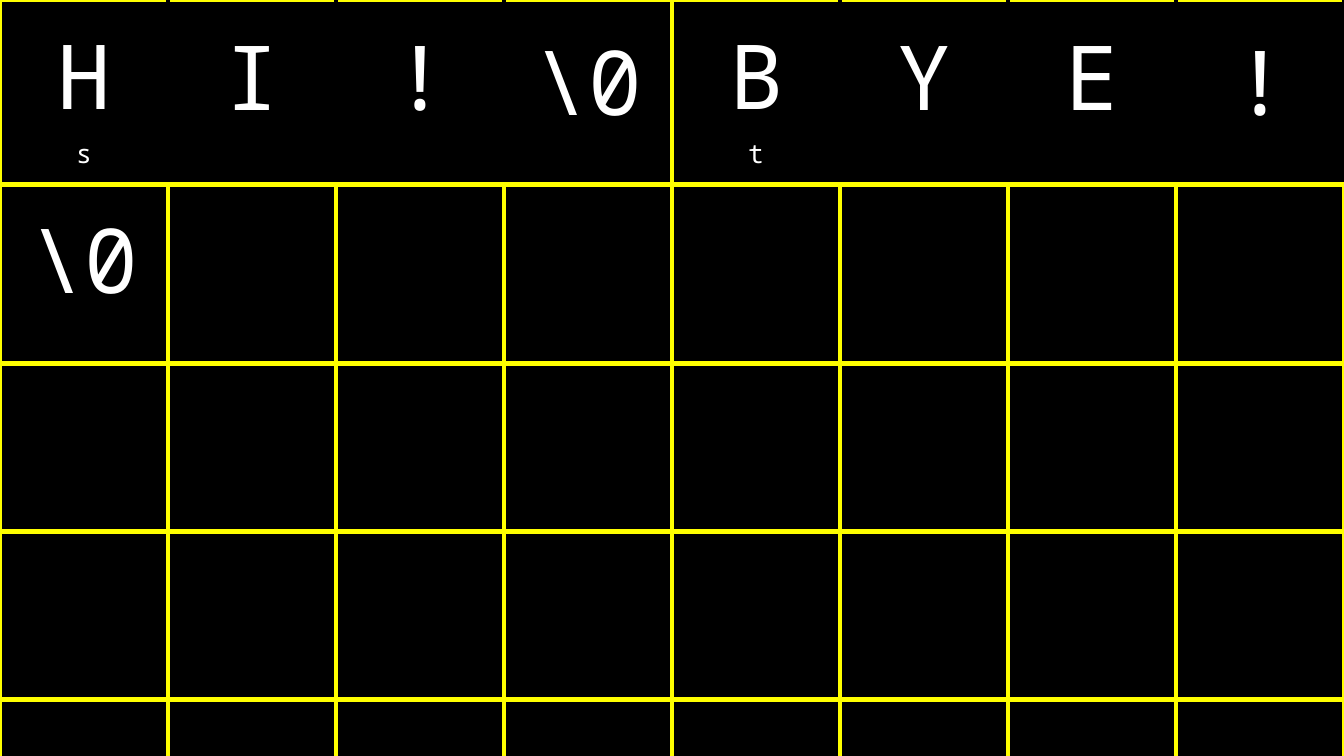
from pptx import Presentation
from pptx.dml.color import RGBColor
from pptx.enum.text import MSO_ANCHOR, PP_ALIGN
from pptx.oxml.ns import qn
from pptx.util import Inches, Pt
from lxml import etree

BOTTOM = MSO_ANCHOR.BOTTOM
CENTER = PP_ALIGN.CENTER
FONT = "Noto Sans Mono"
BLACK, WHITE, YELLOW = "000000", "FFFFFF", "FFFF00"
COLS, ROWS, SIDE = 8, 5, 1.25
PAD = 0.1

# Bytes in memory: value, label, space below the text
BYTES = [
    ("H", "s", PAD), ("I", "", 0.36), ("!", "", 0.36), ("\\0", "", 0.32),
    ("B", "t", PAD), ("Y", "", 0.36), ("E", "", 0.36), ("!", "", 0.32),
    ("\\0", "", 0.32),
]
# Columns in the first row with a yellow left or right edge
STARTS, ENDS = (0, 4), (3,)


def color(value):
    return RGBColor.from_string(value)


def add_edge(cell, side, value):
    props = cell._tc.get_or_add_tcPr()
    line = etree.SubElement(props, qn("a:ln" + side), w=str(Pt(3)))
    fill = etree.SubElement(line, qn("a:solidFill"))
    etree.SubElement(fill, qn("a:srgbClr"), val=value)


def style_cell(cell, row, col):
    left = YELLOW if row or col in STARTS else BLACK
    right = YELLOW if row or col in ENDS else BLACK
    for side, value in zip("LRTB", (left, right, YELLOW, YELLOW)):
        add_edge(cell, side, value)
    cell.fill.background()
    cell.margin_left = cell.margin_right = Inches(PAD)
    cell.margin_top = cell.margin_bottom = Inches(PAD)
    cell.vertical_anchor = BOTTOM


def set_byte(cell, value, label, below):
    cell.margin_bottom = Inches(below)
    frame = cell.text_frame
    frame.text = f"{value}\n{label}" if label else value
    for para, size in zip(frame.paragraphs, (48, 14)):
        para.alignment = CENTER
        for run in para.runs:
            run.font.name = FONT
            run.font.size = Pt(size)
            run.font.color.rgb = color(WHITE)


def add_grid(slide):
    shape = slide.shapes.add_table(
        ROWS, COLS, 0, 0, Inches(COLS * SIDE), Inches(ROWS * SIDE))
    grid = shape.table
    grid.first_row = grid.horz_banding = False
    for row in range(ROWS):
        for col in range(COLS):
            style_cell(grid.cell(row, col), row, col)
    return grid


def main():
    # Widescreen page, 16 to 9
    deck = Presentation()
    deck.slide_width = Inches(10)
    deck.slide_height = Inches(10) * 9 // 16
    slide = deck.slides.add_slide(deck.slide_layouts[6])
    back = slide.background.fill
    back.solid()
    back.fore_color.rgb = color(BLACK)

    # Memory grid, filled from the top left
    grid = add_grid(slide)
    for index, byte in enumerate(BYTES):
        set_byte(grid.cell(*divmod(index, COLS)), *byte)

    deck.save("out.pptx")


if __name__ == "__main__":
    main()
